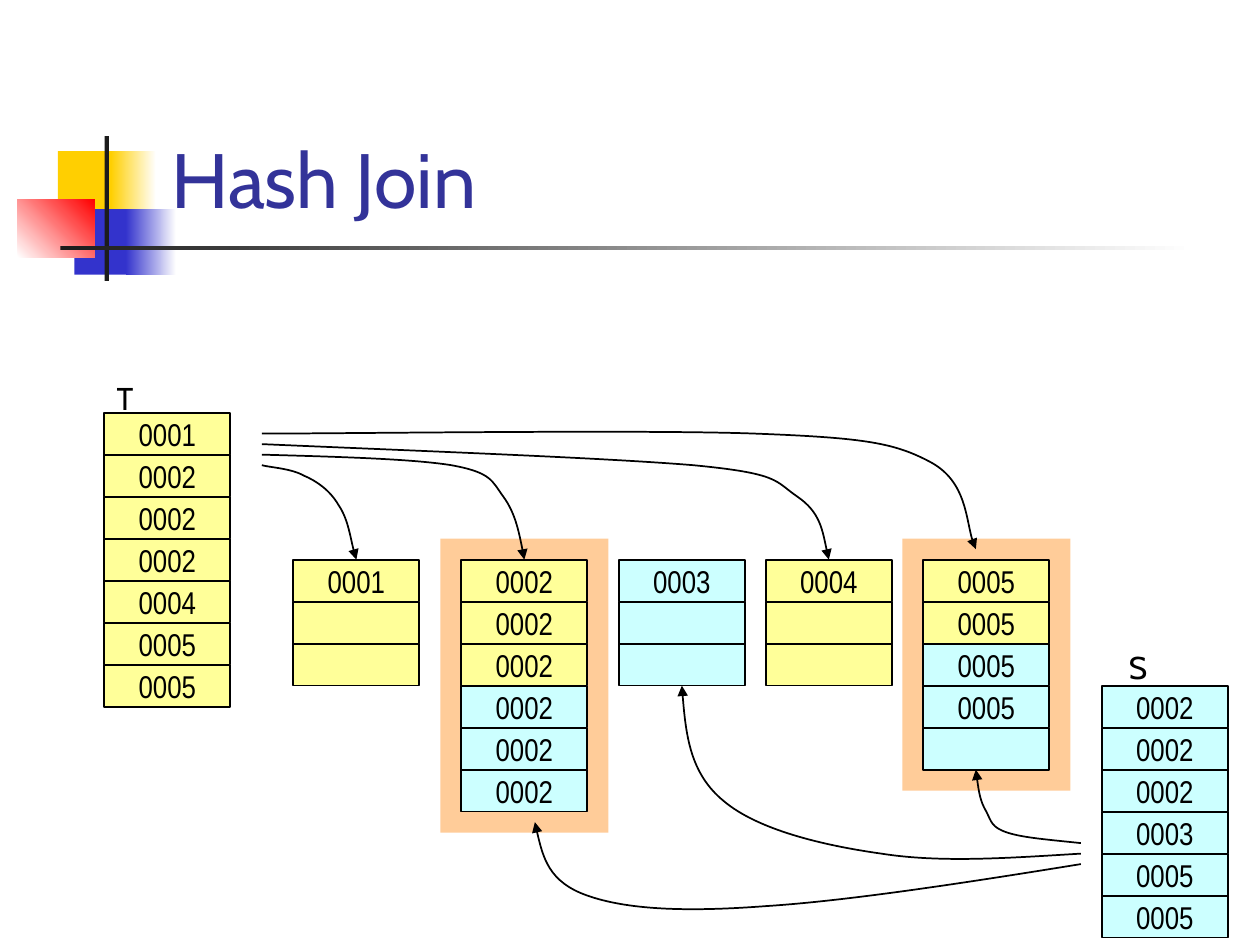
from dataclasses import dataclass
from itertools import chain
from typing import NamedTuple

from lxml import etree
from pptx import Presentation
from pptx.dml.color import RGBColor
from pptx.enum.shapes import MSO_SHAPE
from pptx.enum.text import MSO_ANCHOR, MSO_AUTO_SIZE, PP_ALIGN
from pptx.oxml.ns import qn
from pptx.util import Inches, Pt

RECTANGLE = MSO_SHAPE.RECTANGLE
LEFT, CENTER = PP_ALIGN.LEFT, PP_ALIGN.CENTER
TOP, MIDDLE, BOTTOM = MSO_ANCHOR.TOP, MSO_ANCHOR.MIDDLE, MSO_ANCHOR.BOTTOM
NO_AUTO_SIZE = MSO_AUTO_SIZE.NONE
TITLE_ONLY_LAYOUT = 5

WIDTH, HEIGHT = 10, 7.5
# The diagram sits on a grid of twelfths of an inch.
STEPS_PER_INCH = 12
ORIGIN_X, ORIGIN_Y = -0.005, 0.025
CELL_COLUMNS, CELL_ROWS = 12, 4
FRAME_MARGIN = 2


@dataclass(frozen=True)
class Theme:
    ink: str = "000000"
    title: str = "333399"
    table_t: str = "FFFF99"
    table_s: str = "CCFFFF"
    frame: str = "FFCC99"
    gold: str = "FFCF01"
    blue: str = "3333CC"
    red: str = "FF0000"
    bar: str = "1C1C1C"
    white: str = "FFFFFF"
    heading_font: str = "Cabin"
    cell_font: str = "Arial Narrow"
    title_size: int = 44
    body_size: int = 18
    line_width: int = 1


THEME = Theme()


class Box(NamedTuple):
    left: int
    top: int
    width: int
    height: int


class Ornament(NamedTuple):
    """A banner block, in percent of the slide, with one or two colours."""
    left: float
    top: float
    width: float
    height: float
    colors: tuple[str, ...]
    angle: int = 0


class Stack(NamedTuple):
    """A column of cells: those of table T first, then those of table S."""
    column: int
    row: int
    t_cells: tuple[str, ...] = ()
    s_cells: tuple[str, ...] = ()
    framed: bool = False


class Label(NamedTuple):
    text: str
    column: float
    row: float


ORNAMENTS = (
    Ornament(4.6, 16, 4.8, 6.93, (THEME.gold,)),
    Ornament(8.8, 16, 3.6, 6.93, (THEME.gold, THEME.white)),
    Ornament(5.9, 22.13, 4.6, 6.93, (THEME.blue,)),
    Ornament(10, 22.13, 4, 6.93, (THEME.blue, THEME.white)),
    Ornament(1.4, 21.07, 6.1, 6.2, (THEME.white, THEME.red), 45),
    Ornament(8.3, 14.4, 0.35, 15.33, (THEME.bar,)),
    Ornament(4.8, 26, 90, 0.47, (THEME.bar, THEME.white)),
)
BUCKETS = (
    Stack(28, 53, t_cells=("0001", "", "")),
    Stack(44, 53, ("0002",) * 3, ("0002",) * 3, framed=True),
    Stack(59, 53, s_cells=("0003", "", "")),
    Stack(73, 53, t_cells=("0004", "", "")),
    Stack(88, 53, ("0005",) * 2, ("0005", "0005", ""), framed=True),
)
TABLES = (
    Stack(10, 39, t_cells=("0001", "0002", "0002", "0002", "0004", "0005", "0005")),
    Stack(105, 65, s_cells=("0002", "0002", "0002", "0003", "0005", "0005")),
)
LABELS = (Label("T", 10, 35.2), Label("S", 106.4, 60.8))

# Each arrow is a start point and then three points for every Bézier segment.
ARROWS = (
    ((25, 41), (32.8, 41), (61.4, 40.6), (72, 41), (82.6, 41.4), (85.3, 41.9),
     (88.75, 43.75), (92.1, 45.6), (92.1, 50.3), (93, 52)),
    ((25, 42), (41.2, 42.7), (57.4, 43.3), (66, 44), (74.4, 44.8), (73.8, 45.5),
     (76, 47), (78.2, 48.5), (78.5, 50.8), (79, 53)),
    ((25, 43), (32.1, 43.2), (39.2, 43.4), (43, 44), (46.9, 44.7), (46.9, 45.5),
     (48, 47), (49.1, 48.5), (49.6, 50.8), (50, 53)),
    ((25, 44), (25.6, 44.2), (27.8, 44.3), (29, 45), (30.2, 45.5), (31.5, 46.4),
     (32.3, 47.8), (33.2, 49.1), (33.6, 51.9), (34, 53)),
    ((103, 80), (100.2, 79.7), (97.5, 79.5), (96, 79), (94.5, 78.5), (94.5, 78),
     (94, 77), (93.4, 76), (93.2, 74.6), (93, 73)),
    ((103, 81), (96.3, 81.4), (89.7, 81.9), (84, 81), (78.3, 80.2), (72.2, 78.7),
     (69, 76), (65.8, 73.4), (65.3, 69.2), (65, 65)),
    ((103, 82), (91.9, 83.8), (80.8, 85.5), (73, 86), (65.1, 86.6), (59.7, 86.3),
     (56, 85), (52.3, 83.7), (51.6, 80.8), (51, 78)),
)


def grid_point(column: float, row: float) -> tuple[int, int]:
    return (Inches(ORIGIN_X + column / STEPS_PER_INCH),
            Inches(ORIGIN_Y + row / STEPS_PER_INCH))


def grid_box(column: float, row: float, columns: float, rows: float) -> Box:
    return Box(*grid_point(column, row),
               Inches(columns / STEPS_PER_INCH), Inches(rows / STEPS_PER_INCH))


def percent_box(left: float, top: float, width: float, height: float) -> Box:
    return Box(Inches(left * WIDTH / 100), Inches(top * HEIGHT / 100),
               Inches(width * WIDTH / 100), Inches(height * HEIGHT / 100))


def write(shape, text: str, *, font: str, size: int = THEME.body_size,
          color: str = THEME.ink, align=LEFT, anchor=TOP, wrap: bool = False) -> None:
    frame = shape.text_frame
    frame.auto_size = NO_AUTO_SIZE
    frame.word_wrap = wrap
    frame.vertical_anchor = anchor
    para = frame.paragraphs[0]
    para.alignment = align
    span = para.add_run()
    span.text = text
    span.font.name = font
    span.font.size = Pt(size)
    span.font.color.rgb = RGBColor.from_string(color)


def outline(shape) -> None:
    shape.line.color.rgb = RGBColor.from_string(THEME.ink)
    shape.line.width = Pt(THEME.line_width)


def add_block(page, box: Box, colors: tuple[str, ...], angle: int = 0):
    """Add a borderless rectangle; two colours make a gradient."""
    block = page.shapes.add_shape(RECTANGLE, *box)
    block.shadow.inherit = False
    block.line.fill.background()
    if len(colors) == 1:
        block.fill.solid()
        block.fill.fore_color.rgb = RGBColor.from_string(colors[0])
    else:
        block.fill.gradient()
        block.fill.gradient_angle = angle
        for position, (stop, color) in enumerate(zip(block.fill.gradient_stops, colors)):
            stop.position = position
            stop.color.rgb = RGBColor.from_string(color)
    return block


def add_stack(page, stack: Stack) -> None:
    cells = chain(((text, THEME.table_t) for text in stack.t_cells),
                  ((text, THEME.table_s) for text in stack.s_cells))
    for index, (text, color) in enumerate(cells):
        box = grid_box(stack.column, stack.row + index * CELL_ROWS, CELL_COLUMNS, CELL_ROWS)
        cell = add_block(page, box, (color,))
        outline(cell)
        if text:
            write(cell, text, font=THEME.cell_font, align=CENTER, anchor=MIDDLE)


def add_frame(page, stack: Stack) -> None:
    rows = CELL_ROWS * (len(stack.t_cells) + len(stack.s_cells))
    add_block(page, grid_box(stack.column - FRAME_MARGIN, stack.row - FRAME_MARGIN,
                             CELL_COLUMNS + 2 * FRAME_MARGIN, rows + 2 * FRAME_MARGIN),
              (THEME.frame,))


def add_arrow(page, points: tuple[tuple[float, float], ...]) -> None:
    """Build the control polygon, then turn every three lines into one curve."""
    start, *others = (grid_point(*point) for point in points)
    builder = page.shapes.build_freeform(*start)
    builder.add_line_segments(others, close=False)
    arrow = builder.convert_to_shape()
    arrow.shadow.inherit = False
    arrow.fill.background()
    outline(arrow)
    segments = list(arrow.element.iter(qn("a:lnTo")))
    for first in range(0, len(segments), 3):
        curve = etree.SubElement(segments[first].getparent(), qn("a:cubicBezTo"))
        for segment in segments[first:first + 3]:
            curve.append(segment[0])
            segment.getparent().remove(segment)
    line = arrow.element.find(".//" + qn("a:ln"))
    etree.SubElement(line, qn("a:tailEnd"), type="triangle")


def add_title(page, text: str) -> None:
    title = page.shapes.title
    title.left, title.top, title.width, title.height = percent_box(12.6, 3.07, 85.2, 21.33)
    write(title, text, font=THEME.heading_font, size=THEME.title_size,
          color=THEME.title, anchor=BOTTOM, wrap=True)
    title.element.getparent().append(title.element)  # in front of the banner


def main() -> None:
    deck = Presentation()
    deck.slide_width, deck.slide_height = Inches(WIDTH), Inches(HEIGHT)
    page = deck.slides.add_slide(deck.slide_layouts[TITLE_ONLY_LAYOUT])
    for *place, colors, angle in ORNAMENTS:
        add_block(page, percent_box(*place), colors, angle)
    add_title(page, "Hash Join")
    for bucket in BUCKETS:
        if bucket.framed:
            add_frame(page, bucket)
    for stack in BUCKETS + TABLES:
        add_stack(page, stack)
    for points in ARROWS:
        add_arrow(page, points)
    for label in LABELS:
        box = page.shapes.add_textbox(*grid_box(label.column, label.row, 4.1, 4.8))
        write(box, label.text, font=THEME.heading_font)
    deck.save("out.pptx")


if __name__ == "__main__":
    main()
